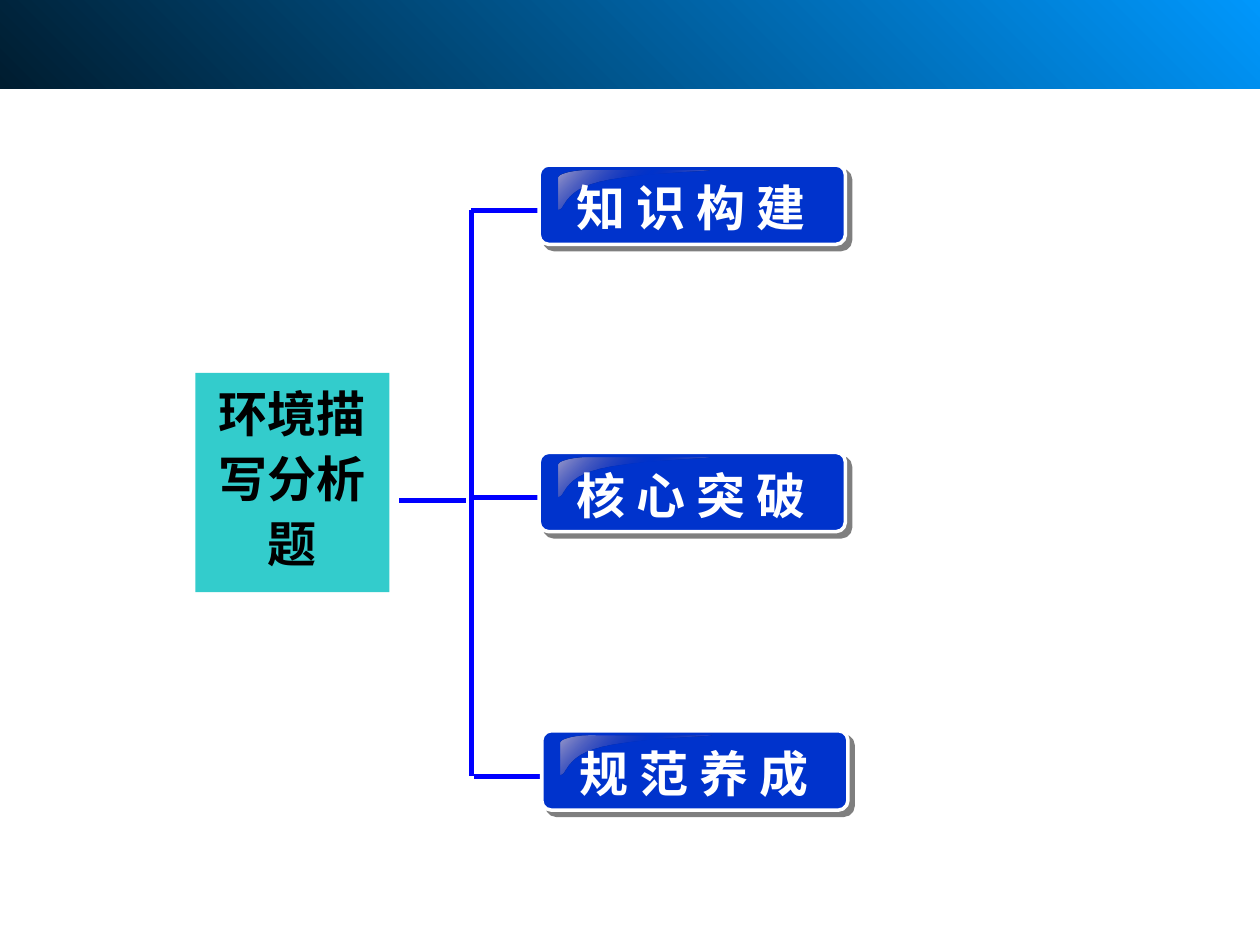
from lxml import etree
from pptx import Presentation
from pptx.dml.color import RGBColor
from pptx.enum import shapes, text
from pptx.oxml import parse_xml
from pptx.oxml.ns import nsdecls, qn
from pptx.util import Inches, Pt

TOPIC = "环境描写分析题"
BRANCHES = [("知 识 构 建", 4.28, 1.31), ("核 心 突 破", 4.28, 3.59), ("规 范 养 成", 4.3, 5.8)]
HEADER_STOPS = [(0, "0099FF", 100), (100, "001D30", 100)]
GLOSS_STOPS = [(0, "9B9BCC", 100), (50, "333399", 0), (100, "9B9BCC", 100)]
GLOSS = [
    [(0.24, 0), (0.11, 0), (0, 0.03), (0, 0.06)],
    [(0, 0.31), (0.06, 0.31), (0.03, 0.16), (0.33, 0.09)],
    [(0.33, 0.09), (0.63, 0.02), (1.21, 0.01), (1.2, 0)],
]
TEAL = RGBColor(0x33, 0xCC, 0xCC)
NAVY = RGBColor(0x00, 0x33, 0xCC)
BLUE = RGBColor(0x00, 0x00, 0xFF)
WHITE = RGBColor(0xFF, 0xFF, 0xFF)
BLACK = RGBColor(0, 0, 0)
TRUNK_X, TRUNK_TOP, TRUNK_END = 3.74, 1.67, 6.16

prs = Presentation()
prs.slide_width, prs.slide_height = Inches(10), Inches(7.5)
s = prs.slides.add_slide(prs.slide_layouts[6])


def add_box(kind, *at):
    sp = s.shapes.add_shape(kind, *map(Inches, at))
    sp.shadow.inherit = False
    sp.line.fill.background()
    return sp


def set_solid(sp, color):
    sp.fill.solid()
    sp.fill.fore_color.rgb = color


def set_gradient(sp, stops, angle):
    sp.fill.background()
    gs = "".join(
        f'<a:gs pos="{pos * 1000}"><a:srgbClr val="{color}">'
        f'<a:alpha val="{alpha * 1000}"/></a:srgbClr></a:gs>'
        for pos, color, alpha in stops
    )
    xml = (f'<a:gradFill {nsdecls("a")} rotWithShape="1"><a:gsLst>{gs}</a:gsLst>'
           f'<a:lin ang="{angle * 60000}" scaled="1"/></a:gradFill>')
    old = sp._element.spPr.find(qn("a:noFill"))
    old.getparent().replace(old, parse_xml(xml))


def set_text(sp, words, color, margins, **formats):
    tf = sp.text_frame
    tf.word_wrap = True
    for side, size in zip(("left", "top", "right", "bottom"), margins):
        setattr(tf, f"margin_{side}", Inches(size))
    p = tf.paragraphs[0]
    for name, value in formats.items():
        setattr(p, name, value)
    r = p.add_run()
    r.text = words
    for name, value in {"name": "Times New Roman", "size": Pt(28), "bold": True}.items():
        setattr(r.font, name, value)
    r.font.color.rgb = color
    return tf


def add_line(*ends):
    c = s.shapes.add_connector(shapes.MSO_CONNECTOR.STRAIGHT, *map(Inches, ends))
    c.line.color.rgb = BLUE
    c.line.width = Pt(3)
    etree.SubElement(c._element.spPr, qn("a:effectLst"))


def curve_points(a, b, c, d, steps=12):
    for i in range(steps + 1):
        t = i / steps
        u = 1 - t
        yield tuple(u**3 * w + 3 * u * u * t * x + 3 * u * t * t * y + t**3 * z
                    for w, x, y, z in zip(a, b, c, d))


def add_gloss(x, y):
    points = [(Inches(x + px), Inches(y + py))
              for curve in GLOSS for px, py in curve_points(*curve)]
    fb = s.shapes.build_freeform(*points[0])
    fb.add_line_segments(points[1:], close=True)
    sp = fb.convert_to_shape()
    sp.shadow.inherit = False
    sp.line.fill.background()
    set_gradient(sp, GLOSS_STOPS, 225)


def add_branch(label, x, y):
    add_line(x - 0.54, y + 0.36, x - 0.01, y + 0.36)
    sp = add_box(shapes.MSO_SHAPE.ROUNDED_RECTANGLE, x, y, 2.43, 0.63)
    sp.adjustments[0] = 0.12
    set_solid(sp, NAVY)
    sp.line.color.rgb = WHITE
    sp.line.width = Pt(2)
    sp._element.spPr.find(qn("a:effectLst")).append(parse_xml(
        f'<a:outerShdw {nsdecls("a")} dist="{Pt(4.2)}" dir="2700000" algn="ctr" rotWithShape="0">'
        '<a:srgbClr val="000000"><a:alpha val="50000"/></a:srgbClr></a:outerShdw>'))
    add_gloss(x + 0.15, y + 0.04)
    tb = s.shapes.add_textbox(*map(Inches, (x + 0.2, y + 0.05, 4.11, 0.57)))
    tf = set_text(tb, label, WHITE, (0.1, 0.05, 0.1, 0.05))
    tf.vertical_anchor = text.MSO_ANCHOR.MIDDLE


header = add_box(shapes.MSO_SHAPE.RECTANGLE, 0, -0.17, 10, 0.87)
set_gradient(header, HEADER_STOPS, 135)

topic = add_box(shapes.MSO_SHAPE.RECTANGLE, 1.55, 2.96, 1.54, 1.74)
set_solid(topic, TEAL)
tf = set_text(topic, TOPIC, BLACK, (0.1, 0.04, 0.1, 0.16),
              alignment=text.PP_ALIGN.CENTER, line_spacing=1.1)
tf.vertical_anchor = text.MSO_ANCHOR.TOP

add_line(3.17, 3.97, 3.7, 3.97)
add_line(TRUNK_X, TRUNK_TOP, TRUNK_X, TRUNK_END)
for branch in BRANCHES:
    add_branch(*branch)

prs.save("out.pptx")
